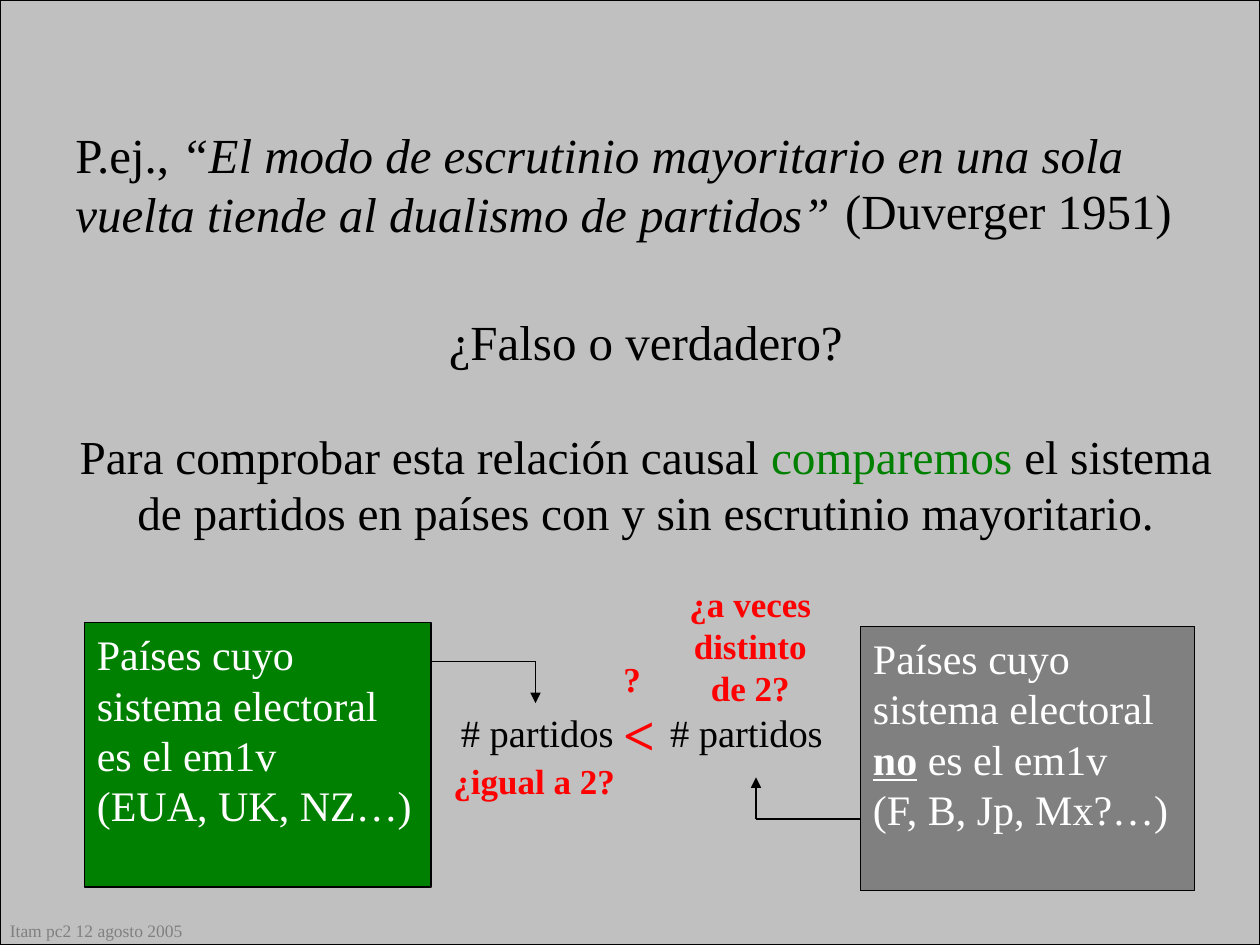
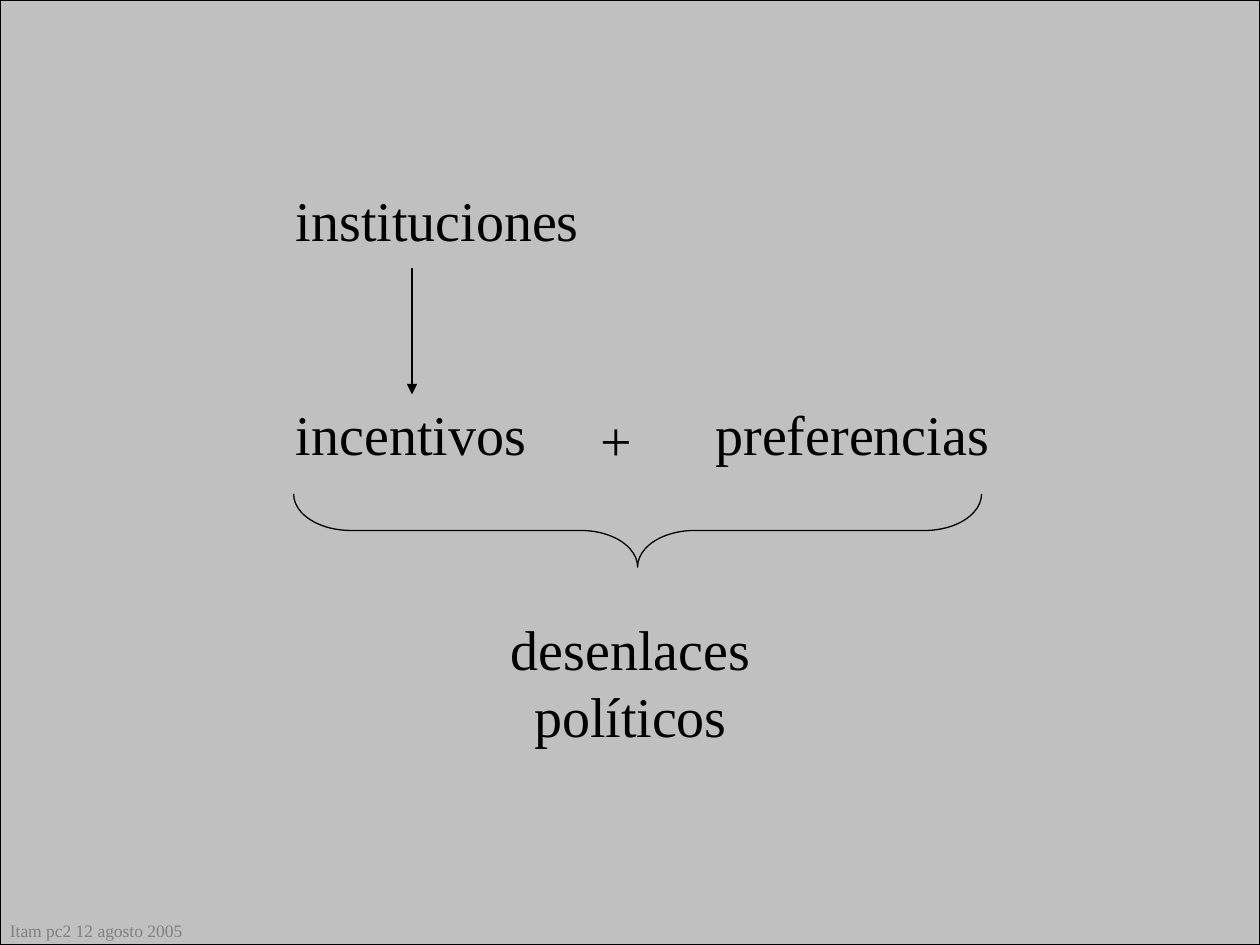
"""Build two slides on electoral systems, incentives and political outcomes."""
from dataclasses import dataclass

from lxml.etree import SubElement
from pptx import Presentation
from pptx.dml.color import RGBColor as RGB
from pptx.enum.shapes import MSO_CONNECTOR as CONN, MSO_SHAPE as SHAPE
from pptx.enum.text import MSO_ANCHOR as ANCHOR, PP_ALIGN as ALIGN
from pptx.oxml.ns import qn
from pptx.util import Inches, Pt


@dataclass(frozen=True)
class Theme:
    font: str = "Times New Roman"
    black: RGB = RGB(0x00, 0x00, 0x00)
    white: RGB = RGB(0xFF, 0xFF, 0xFF)
    silver: RGB = RGB(0xC0, 0xC0, 0xC0)
    gray: RGB = RGB(0x80, 0x80, 0x80)
    green: RGB = RGB(0x00, 0x80, 0x00)
    red: RGB = RGB(0xFF, 0x00, 0x00)
    footer: int = 10
    note: int = 20
    label: int = 22
    box: int = 24
    body: int = 27
    lead: int = 28
    concept: int = 32
    line: float = 0.75


class Deck:
    def __init__(self, theme):
        self.theme = theme
        self.prs = Presentation()
        self.prs.slide_width, self.prs.slide_height = Inches(10), Inches(7.5)
        self.s = None

    def slide(self):
        self.s = self.prs.slides.add_slide(self.prs.slide_layouts[6])
        self.shape(SHAPE.RECTANGLE, 0, 0, 10, 7.5, self.theme.silver)
        self.text(-0.02, 7.25, 1.85, 0.27, [["Itam pc2 12 agosto 2005"]],
                  self.theme.footer, self.theme.gray)

    def shape(self, kind, x, y, w, h, fill=None):
        sp = self.s.shapes.add_shape(kind, Inches(x), Inches(y), Inches(w), Inches(h))
        sp.shadow.inherit = False
        if fill is None:
            sp.fill.background()
        else:
            sp.fill.solid()
            sp.fill.fore_color.rgb = fill
        sp.line.color.rgb = self.theme.black
        sp.line.width = Pt(self.theme.line)
        return sp

    def add_runs(self, sp, paragraphs, size, color, align=ALIGN.LEFT, gap=0, bold=False):
        tf = sp.text_frame
        tf.word_wrap = True
        tf.vertical_anchor = ANCHOR.TOP
        for i, runs in enumerate(paragraphs):
            p = tf.add_paragraph() if i else tf.paragraphs[0]
            p.alignment = align
            p.space_before = Pt(gap if i else 0)
            for run in runs:
                text, style = (run, {}) if isinstance(run, str) else run
                r = p.add_run()
                r.text = text
                r.font.name = self.theme.font
                r.font.size = Pt(style.get("size", size))
                r.font.color.rgb = style.get("color", color)
                r.font.bold = style.get("bold", bold)
                r.font.italic = style.get("italic", False)
                r.font.underline = style.get("underline", False)

    def text(self, x, y, w, h, paragraphs, size, color=None, **options):
        sp = self.s.shapes.add_textbox(Inches(x), Inches(y), Inches(w), Inches(h))
        self.add_runs(sp, paragraphs, size, color or self.theme.black, **options)

    def box(self, x, y, w, h, paragraphs, fill):
        sp = self.shape(SHAPE.RECTANGLE, x, y, w, h, fill)
        self.add_runs(sp, paragraphs, self.theme.box, self.theme.white)

    def route(self, *points):
        last = len(points) - 2
        for i, (start, end) in enumerate(zip(points, points[1:])):
            ends = [Inches(v) for v in (*start, *end)]
            cx = self.s.shapes.add_connector(CONN.STRAIGHT, *ends)
            cx.line.color.rgb = self.theme.black
            cx.line.width = Pt(self.theme.line)
            sp_pr = cx._element.spPr
            if i == last:
                SubElement(sp_pr.find(qn("a:ln")), qn("a:tailEnd"), type="triangle")
            SubElement(sp_pr, qn("a:effectLst"))

    def brace(self, x, y, w, h):
        sp = self.shape(SHAPE.RIGHT_BRACE, x + (w - h) / 2, y + (h - w) / 2, h, w)
        sp.rotation = 90
        sp.adjustments[0] = 0.78


def duverger(deck):
    t = deck.theme
    deck.slide()
    deck.text(0.5, 0.94, 9.25, 1.04, [[
        "P.ej.,",
        (" “El modo de escrutinio mayoritario en una sola vuelta tiende al "
         "dualismo de partidos”", {"italic": True}),
    ]], t.lead)
    deck.text(6.61, 1.38, 3, 0.57, [["(Duverger 1951)"]], t.lead)
    deck.text(0.5, 2.42, 9.25, 1.92, [
        [("¿Falso o verdadero?", {"size": t.lead})],
        ["Para comprobar esta relación causal ",
         ("comparemos", {"color": t.green}),
         " el sistema de partidos en países con y sin escrutinio mayoritario."],
    ], t.body, align=ALIGN.CENTER, gap=32.5)

    shared = [["Países cuyo"], ["sistema electoral"]]
    deck.box(0.67, 4.94, 2.75, 2.1,
             shared + [["es el em1v"], ["(EUA, UK, NZ…)"]], t.green)
    deck.box(6.83, 4.97, 2.65, 2.1, shared + [
        [("no", {"bold": True, "underline": True}), " es el em1v"],
        ["(F, B, Jp, Mx?…)"],
    ], t.gray)

    for x in (3.56, 5.22):
        deck.text(x, 5.58, 1.5, 0.47, [["# partidos"]], t.label)
    deck.route((3.42, 5.25), (4.25, 5.25), (4.25, 5.58))
    deck.route((6.83, 6.5), (6, 6.5), (6, 6.17))

    deck.text(3.5, 5.98, 1.58, 0.44, [["¿igual a 2?"]], t.note, t.red, bold=True)
    deck.text(5.33, 4.57, 1.25, 1.1, [["¿a veces distinto"], ["de 2?"]],
              t.note, t.red, align=ALIGN.CENTER, bold=True)
    deck.text(4.85, 5.17, 0.83, 0.97, [["?"], [("<", {"size": t.concept})]],
              t.note, t.red, bold=True)


def outcomes(deck):
    t = deck.theme
    deck.slide()
    for concept, x, y, w in (("instituciones", 2.25, 1.42, 2.67),
                             ("incentivos", 2.25, 3.12, 2.33),
                             ("preferencias", 5.58, 3.12, 2.67),
                             ("+", 4.67, 3.17, 0.5)):
        deck.text(x, y, w, 0.64, [[concept]], t.concept)
    deck.brace(2.33, 3.92, 5.46, 0.58)
    deck.text(3.67, 4.83, 2.67, 1.17, [["desenlaces políticos"]], t.concept,
              align=ALIGN.CENTER)
    deck.route((3.27, 2.13), (3.27, 3.13))


def main():
    deck = Deck(Theme())
    duverger(deck)
    outcomes(deck)
    deck.prs.save("out.pptx")


if __name__ == "__main__":
    main()
